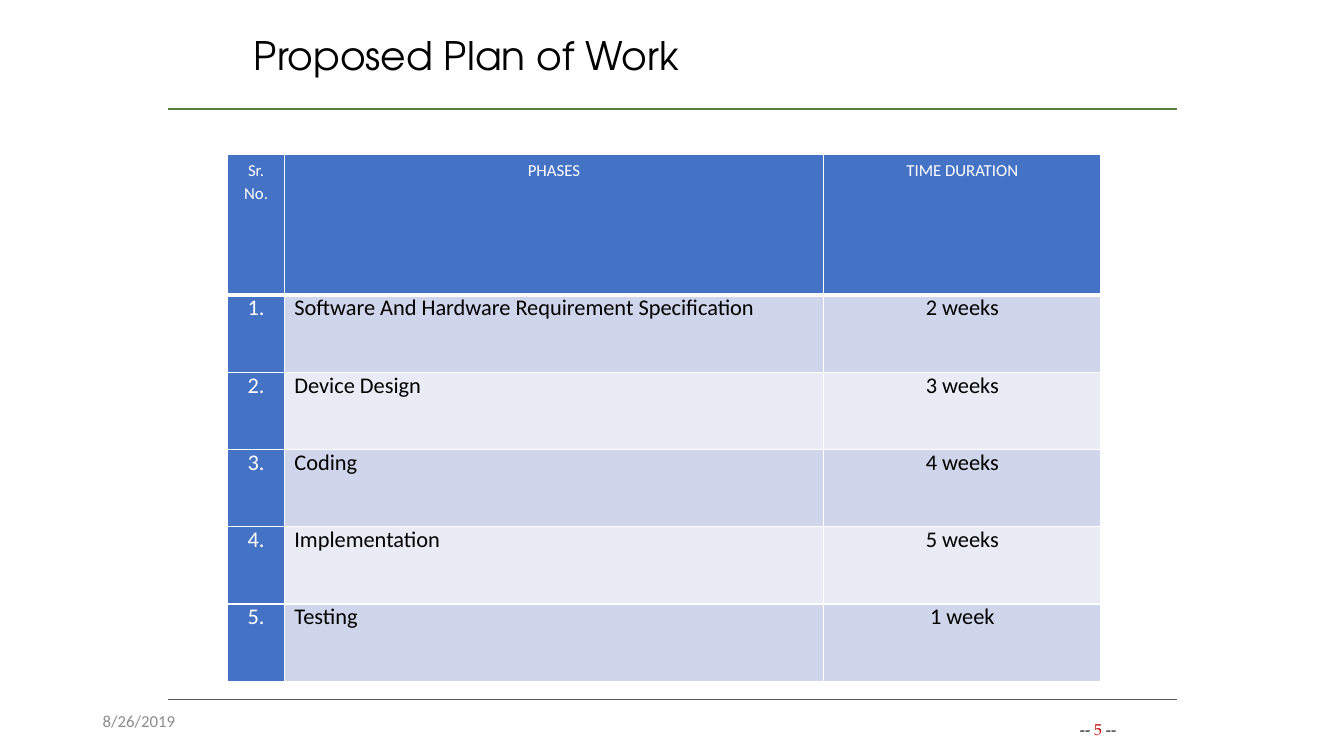
from lxml.etree import SubElement
from pptx import Presentation
from pptx.dml.color import RGBColor
from pptx.enum.shapes import MSO_CONNECTOR
from pptx.enum.text import MSO_ANCHOR, PP_ALIGN
from pptx.oxml.ns import qn
from pptx.util import Inches, Pt

WHITE = RGBColor(0xFF, 0xFF, 0xFF)
BLACK = RGBColor(0, 0, 0)
BLUE = RGBColor(0x44, 0x72, 0xC4)
BANDS = RGBColor(0xCF, 0xD5, 0xEA), RGBColor(0xE9, 0xEB, 0xF5)
GREEN = RGBColor(0x54, 0x82, 0x35)
RULE_GRAY = RGBColor(0x59, 0x59, 0x59)
DATE_GRAY = RGBColor(0x8C, 0x8C, 0x8C)
RED = RGBColor(0xC0, 0, 0)

HEADINGS = "Sr. No.", "PHASES", "TIME DURATION"
PHASES = [
    ("Software And Hardware Requirement Specification", "2 weeks"),
    ("Device Design", "3 weeks"),
    ("Coding", "4 weeks"),
    ("Implementation", "5 weeks"),
    ("Testing", "1 week"),
]
COLUMN_WIDTHS = 0.56, 5.35, 2.75
HEADER_HEIGHT = 1.4


def style_font(font, name, size, color):
    font.name = name
    font.size = Pt(size)
    font.color.rgb = color


def add_rule(page, left, top, width, color, weight):
    rule = page.shapes.add_connector(
        MSO_CONNECTOR.STRAIGHT, Inches(left), Inches(top), Inches(left + width), Inches(top))
    rule.line.color.rgb = color
    rule.line.width = Pt(weight)
    SubElement(rule._element.spPr, qn("a:effectLst"))


def add_text_box(page, left, top, width, height, anchor=MSO_ANCHOR.MIDDLE):
    """Add an empty text box and return its first paragraph."""
    box = page.shapes.add_textbox(Inches(left), Inches(top), Inches(width), Inches(height))
    box.text_frame.word_wrap = True
    box.text_frame.vertical_anchor = anchor
    return box.text_frame.paragraphs[0]


def add_label(page, left, top, width, height, text, font_name, size, color):
    para = add_text_box(page, left, top, width, height)
    para.text = text
    style_font(para.font, font_name, size, color)


def add_page_number(page, left, top, width, height):
    para = add_text_box(page, left, top, width, height, MSO_ANCHOR.TOP)
    para.alignment = PP_ALIGN.RIGHT
    for text, color in (("-- ", BLACK), ("5 ", RED), ("--", BLACK)):
        span = para.add_run()
        span.text = text
        style_font(span.font, "TeX Gyre Pagella", 14, color)
        span._r.get_or_add_rPr().set("cap", "small")


def add_borders(cell, bottom_weight):
    """Draw white cell borders, one point wide except at the bottom."""
    properties = cell._tc.get_or_add_tcPr()
    weights = {"a:lnL": 1, "a:lnR": 1, "a:lnT": 1, "a:lnB": bottom_weight}
    for position, (tag, weight) in enumerate(weights.items()):
        line = SubElement(properties, qn(tag), w=str(Pt(weight)))
        fill = SubElement(line, qn("a:solidFill"))
        SubElement(fill, qn("a:srgbClr"), val=str(WHITE))
        properties.insert(position, line)


def fill_cell(cell, text, size, color, background, alignment, bottom_weight):
    cell.fill.solid()
    cell.fill.fore_color.rgb = background
    cell.margin_left = cell.margin_right = Inches(0.1)
    cell.margin_top = cell.margin_bottom = Inches(0.03)
    para = cell.text_frame.paragraphs[0]
    para.text = text
    para.alignment = alignment
    para.line_spacing = Pt(16.8)
    para.space_after = Pt(19.5)
    style_font(para.font, "Calibri", size, color)
    add_borders(cell, bottom_weight)


def add_plan_table(page, left, top, width, height):
    rows = [HEADINGS] + [(f"{number}.", *phase) for number, phase in enumerate(PHASES, 1)]
    table = page.shapes.add_table(
        len(rows), len(HEADINGS), Inches(left), Inches(top), Inches(width), Inches(height)).table
    for column, column_width in zip(table.columns, COLUMN_WIDTHS):
        column.width = Inches(column_width)
    for r, values in enumerate(rows):
        header = r == 0
        table.rows[r].height = Inches(
            HEADER_HEIGHT if header else (height - HEADER_HEIGHT) / len(PHASES))
        for c, text in enumerate(values):
            blue = header or c == 0
            fill_cell(
                table.cell(r, c), text,
                size=12 if header else 16,
                color=WHITE if blue else BLACK,
                background=BLUE if blue else BANDS[(r - 1) % 2],
                alignment=PP_ALIGN.LEFT if c == 1 and not header else PP_ALIGN.CENTER,
                bottom_weight=3 if header else 1)


def main():
    deck = Presentation()
    deck.slide_width, deck.slide_height = Inches(13.33), Inches(7.5)
    page = deck.slides.add_slide(deck.slide_layouts[6])
    add_rule(page, 1.67, 1.08, 10, GREEN, 1.25)
    add_rule(page, 1.67, 6.94, 10, RULE_GRAY, 0.75)
    add_page_number(page, 10.42, 7.05, 0.75, 0.34)
    add_label(page, 2.42, 0, 7.92, 1.08, "Proposed Plan of Work", "TeX Gyre Adventor", 28, BLACK)
    add_plan_table(page, 2.26, 1.53, 8.66, 5.23)
    add_label(page, 0.92, 6.95, 3, 0.4, "8/26/2019", "Calibri", 12, DATE_GRAY)
    deck.save("out.pptx")


if __name__ == "__main__":
    main()
